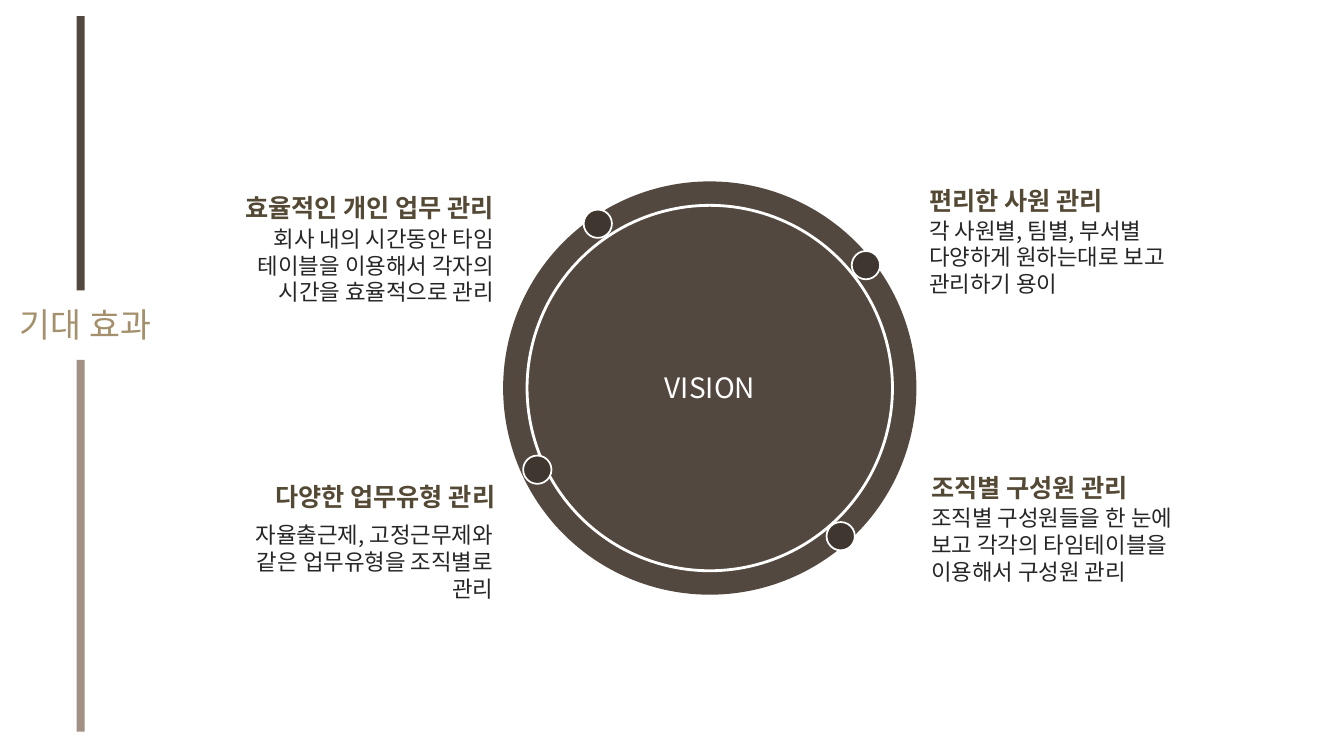
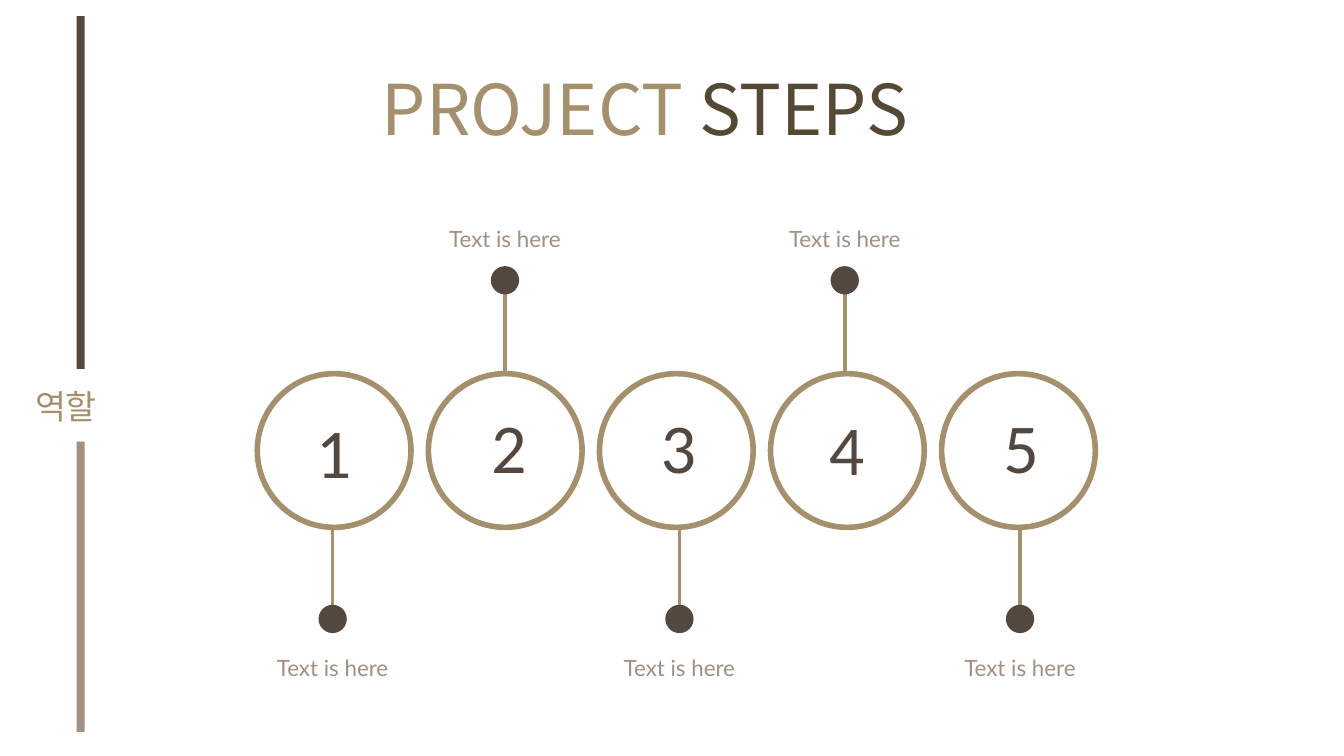
"""Build a vision slide and a project steps slide."""
from pptx import Presentation
from pptx.dml.color import RGBColor
from pptx.enum import shapes, text
from pptx.oxml.ns import qn
from pptx.util import Pt
from lxml import etree

COLORS = {
    "brown": "53483F", "dark": "3E362F", "taupe": "A19083", "gold": "A4906C",
    "olive": "544934", "ink": "262626", "white": "FFFFFF",
}
KOREAN, LATIN, DIGIT = "Noto Sans CJK KR", "Lato", "Calibri"
LEFT, CENTER, RIGHT = text.PP_ALIGN.LEFT, text.PP_ALIGN.CENTER, text.PP_ALIGN.RIGHT
RECT, OVAL = shapes.MSO_SHAPE.RECTANGLE, shapes.MSO_SHAPE.OVAL

BENEFITS = [
    (656.6, 128.9, 656.6, 151.2, LEFT, "편리한 사원 관리",
     "각 사원별, 팀별, 부서별 다양하게 원하는대로 보고 관리하기 용이"),
    (127.4, 133.9, 154.1, 157, RIGHT, "효율적인 개인 업무 관리",
     "회사 내의 시간동안 타임 테이블을 이용해서 각자의 시간을 효율적으로 관리"),
    (658.1, 334.1, 658.1, 356.4, LEFT, "조직별 구성원 관리",
     "조직별 구성원들을 한 눈에 보고 각각의 타임테이블을 이용해서 구성원 관리"),
    (128.2, 340.6, 153.4, 368.6, RIGHT, "다양한 업무유형 관리",
     "자율출근제, 고정근무제와 같은 업무유형을 조직별로 관리"),
]
MARKERS = [(383.8, 335.5), (600.5, 383), (618.5, 189.4), (427, 159.8)]
STEPS = [
    (237.6, 238.3, 288), (360.7, 363.6, 285), (485.3, 484.6, 285),
    (603.4, 604.8, 286), (728.6, 729.4, 285),
]


def rgb(name):
    return RGBColor.from_string(COLORS[name])


def add_shape(s, kind, x, y, w, h, fill, line=None, weight=0):
    sp = s.shapes.add_shape(kind, Pt(x), Pt(y), Pt(w), Pt(h))
    sp.shadow.inherit = False
    sp.fill.solid()
    sp.fill.fore_color.rgb = rgb(fill)
    if line:
        sp.line.color.rgb = rgb(line)
        sp.line.width = Pt(weight)
    else:
        sp.line.fill.background()


def add_circle(s, cx, cy, size, fill, line=None, weight=0):
    add_shape(s, OVAL, cx - size / 2, cy - size / 2, size, size, fill, line, weight)


def add_text(s, x, y, w, h, runs, size, font=KOREAN, align=LEFT,
             bold=False, wrap=True, spacing=None):
    tf = s.shapes.add_textbox(Pt(x), Pt(y), Pt(w), Pt(h)).text_frame
    tf.word_wrap = wrap
    tf.auto_size = text.MSO_AUTO_SIZE.SHAPE_TO_FIT_TEXT
    p = tf.paragraphs[0]
    p.alignment = align
    if spacing:
        p.line_spacing = Pt(spacing)
    p.font.size = Pt(size)
    p.font.bold = bold
    if len(runs) == 1:
        p.font.color.rgb = rgb(runs[0][1])
    p.font.name = font
    defaults = p._p.pPr.find(qn("a:defRPr"))
    etree.SubElement(defaults, qn("a:ea")).set("typeface", font)
    for words, color in runs:
        r = p.add_run()
        r.text = words
        if len(runs) > 1:
            r.font.color.rgb = rgb(color)


def add_stem(s, x, top, bottom):
    line = s.shapes.add_connector(
        shapes.MSO_CONNECTOR.STRAIGHT, Pt(x), Pt(top), Pt(x), Pt(bottom))
    line.line.color.rgb = rgb("gold")
    line.line.width = Pt(2.6)
    etree.SubElement(line._element.spPr, qn("a:effectLst"))


def add_side_title(s, title, x, y, upper_end):
    add_text(s, x, y, 125.3, 36, [(title, "gold")], 24)
    top, lower, end = 11.5, y + 43.2, 522.7
    add_shape(s, RECT, 54.7, top, 5.8, upper_end - top, "brown")
    add_shape(s, RECT, 54.7, lower, 5.8, end - lower, "taupe")


def build_vision(s):
    cx, cy = 507, 277.2
    add_circle(s, cx, cy, 295.2, "brown")
    add_circle(s, cx, cy, 261, "brown", "white", 2)
    add_side_title(s, "기대 효과", 7.2, 213.8, 207.4)
    add_text(s, 458.6, 261.4, 97.2, 31.7, [("VISION", "white")], 20, align=CENTER)
    for head_x, head_y, body_x, body_y, align, head, body in BENEFITS:
        head_w = 232.6 if align == RIGHT else 216
        add_text(s, head_x, head_y, head_w, 28.8, [(head, "olive")], 18,
                 align=align, bold=True)
        add_text(s, body_x, body_y, 205.9, 65.5, [(body, "ink")], 16, align=align)
    for x, y in MARKERS:
        add_circle(s, x, y, 20.2, "dark", "white", 1.25)


def build_steps(s):
    add_side_title(s, "역할", 18, 272.2, 263.5)
    first, step, cy = 238.7, 122.2, 321.8
    for i, (stem_x, digit_x, digit_y) in enumerate(STEPS):
        below = i % 2 == 0
        dot_y, label_y = (442.1, 460.8) if below else (200.2, 154.1)
        ring_y = cy + 54 if below else cy - 54
        add_stem(s, stem_x, min(dot_y, ring_y), max(dot_y, ring_y))
        add_circle(s, first + i * step, cy, 109.8, "white", "gold", 4)
        add_circle(s, stem_x, dot_y, 20.2, "brown")
        add_text(s, stem_x - 87.1, label_y, 174.2, 29.5, [("Text is here", "taupe")],
                 16, LATIN, CENTER, spacing=22.2)
        add_text(s, digit_x - 20.2, digit_y, 40.3, 67.7, [(str(i + 1), "brown")],
                 50, DIGIT, CENTER, wrap=False)
    add_text(s, 265.7, 43.2, 432, 67.7, [("PROJECT ", "gold"), ("STEPS", "olive")], 50)


def main():
    prs = Presentation()
    prs.slide_width, prs.slide_height = Pt(960), Pt(540)
    for build in (build_vision, build_steps):
        build(prs.slides.add_slide(prs.slide_layouts[6]))
    prs.save("out.pptx")


if __name__ == "__main__":
    main()
